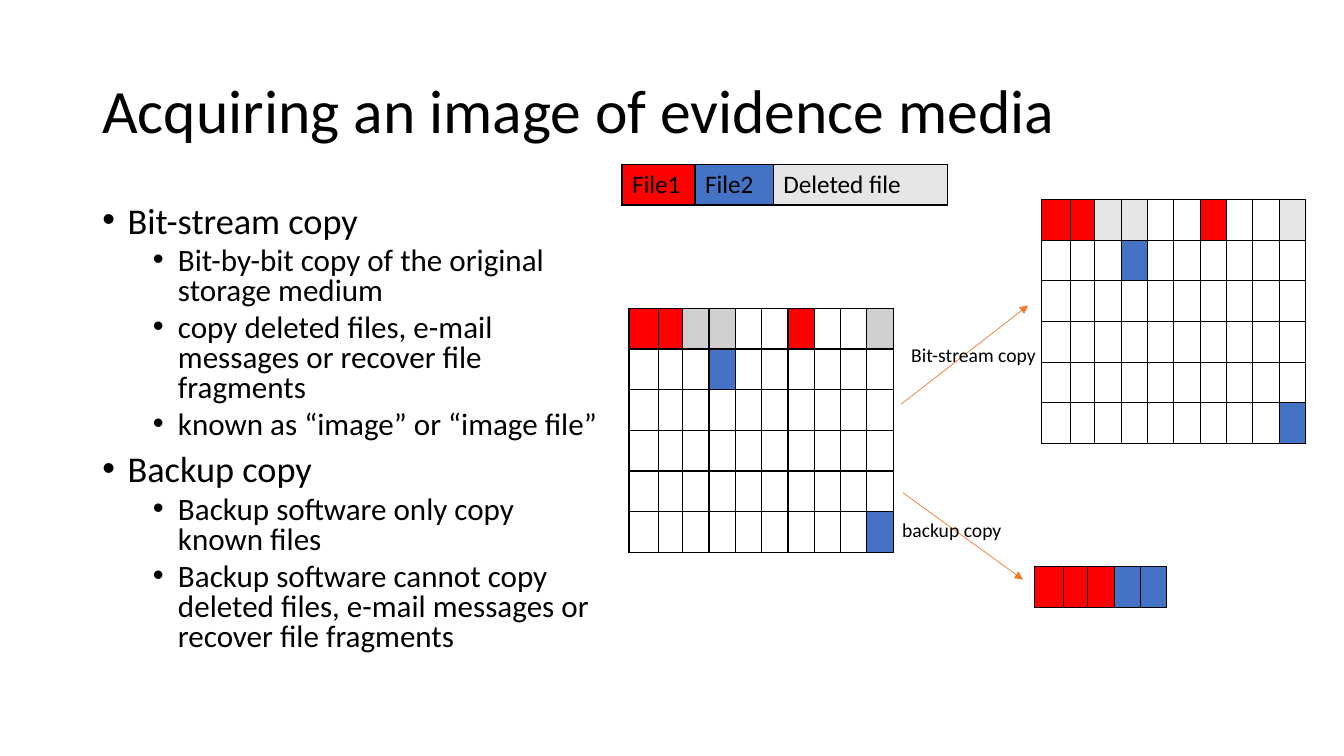
from dataclasses import dataclass

from lxml import etree
from pptx import Presentation
from pptx.dml.color import RGBColor
from pptx.enum.shapes import MSO_CONNECTOR
from pptx.enum.text import MSO_ANCHOR
from pptx.oxml.ns import qn
from pptx.util import Inches, Pt

STRAIGHT = MSO_CONNECTOR.STRAIGHT
MIDDLE, TOP = MSO_ANCHOR.MIDDLE, MSO_ANCHOR.TOP


@dataclass(frozen=True)
class Theme:
    font: str = "Calibri"
    ink: str = "000000"
    arrow: str = "ED7D31"
    title_size: float = 44
    cell_size: float = 18
    label_size: float = 14
    border_width: float = 1
    arrow_width: float = 0.5


THEME = Theme()

# Places and lengths are percentages of the slide's width and height.
TITLE = "Acquiring an image of evidence media"
TITLE_BOX = (6.88, 5.33, 86.25, 19.33)
BODY_BOX = (6.88, 26.62, 38.93, 63.47)
BULLETS = [
    (0, "Bit-stream copy"),
    (1, "Bit-by-bit copy of the original storage medium"),
    (1, "copy deleted files, e-mail messages or recover file fragments"),
    (1, "known as “image” or “image file”"),
    (0, "Backup copy"),
    (1, "Backup software only copy known files"),
    (1, "Backup software cannot copy deleted files, e-mail messages or recover file fragments"),
]
# level: (text size, space before, left indent in inches)
LEVELS = {0: (25.9, 10, 0.25), 1: (22.2, 5, 0.75)}
HANGING = 0.25

# 1 = first file, 2 = second file, d = deleted on the medium, c = deleted in a copy
FILLS = {"1": "FF0000", "2": "4472C4", "d": "D0CECE", "c": "E7E6E6"}
EMPTY_ROW = "." * 10
LOWER_ROWS = ["...2......"] + [EMPTY_ROW] * 3 + [".........2"]
BLOCK_COLUMNS = [2.2, 1.72] + [1.96] * 8
ROW_HEIGHT = 5.38
# (left, top), column widths, rows of fill keys, texts of the first row
TABLES = [
    ((46.8, 40.8), BLOCK_COLUMNS, ["11dd..1..d"] + LOWER_ROWS, []),
    ((77.47, 26.4), BLOCK_COLUMNS, ["11cc..1..c"] + LOWER_ROWS, []),
    ((76.95, 74.93), BLOCK_COLUMNS[:5], ["11122"], []),
    ((46.28, 21.73), [5.43, 5.83, 12.98], ["12c"], ["File1", "File2", "Deleted file"]),
]
ARROWS = [((67.05, 53.47), (76.5, 40.4)), ((67.2, 65.2), (76.12, 76.67))]
LABELS = [("Bit-stream copy", (67.05, 44.67)), ("backup copy", (66.38, 67.87))]
LABEL_SIZE = (12.75, 4.53)

presentation = Presentation()
presentation.slide_width = Inches(13.33)
presentation.slide_height = Inches(7.5)
slide = presentation.slides.add_slide(presentation.slide_layouts[6])


def across(share):
    return round(presentation.slide_width * share / 100)


def down(share):
    return round(presentation.slide_height * share / 100)


def add_run(paragraph, text, size):
    run = paragraph.add_run()
    run.text = text
    run.font.name = THEME.font
    run.font.size = Pt(size)
    run.font.color.rgb = RGBColor.from_string(THEME.ink)


def add_text_frame(box, anchor=TOP):
    left, top, width, height = box
    shape = slide.shapes.add_textbox(across(left), down(top), across(width), down(height))
    shape.text_frame.word_wrap = True
    shape.text_frame.vertical_anchor = anchor
    return shape.text_frame


def add_bullets(box, bullets):
    frame = add_text_frame(box)
    for index, (level, text) in enumerate(bullets):
        size, space, indent = LEVELS[level]
        paragraph = frame.add_paragraph() if index else frame.paragraphs[0]
        paragraph.level = level
        paragraph.line_spacing = 0.8
        paragraph.space_before = Pt(space)
        properties = paragraph._p.get_or_add_pPr()
        properties.set("marL", str(Inches(indent)))
        properties.set("indent", str(-Inches(HANGING)))
        etree.SubElement(properties, qn("a:buFont"), typeface="Arial")
        etree.SubElement(properties, qn("a:buChar"), char="•")
        add_run(paragraph, text, size)


def add_borders(cell):
    """Outline all four sides; borders must precede the fill in the cell's XML."""
    properties = cell._tc.get_or_add_tcPr()
    for position, side in enumerate(("lnL", "lnR", "lnT", "lnB")):
        line = etree.Element(qn(f"a:{side}"), w=str(Pt(THEME.border_width)))
        fill = etree.SubElement(line, qn("a:solidFill"))
        etree.SubElement(fill, qn("a:srgbClr"), val=THEME.ink)
        properties.insert(position, line)


def add_block_table(place, columns, rows, texts):
    left, top = place
    table = slide.shapes.add_table(
        len(rows), len(columns), across(left), down(top),
        across(sum(columns)), down(ROW_HEIGHT * len(rows))).table
    table.first_row = table.horz_banding = False
    for column, width in zip(table.columns, columns):
        column.width = across(width)
    for row_index, row in enumerate(rows):
        for column_index, key in enumerate(row):
            cell = table.cell(row_index, column_index)
            if key in FILLS:
                cell.fill.solid()
                cell.fill.fore_color.rgb = RGBColor.from_string(FILLS[key])
            else:
                cell.fill.background()
            add_borders(cell)
            paragraph = cell.text_frame.paragraphs[0]
            paragraph.font.size = Pt(THEME.cell_size)
            if row_index == 0 and texts:
                add_run(paragraph, texts[column_index], THEME.cell_size)


def add_arrow(start, end):
    connector = slide.shapes.add_connector(
        STRAIGHT, across(start[0]), down(start[1]), across(end[0]), down(end[1]))
    connector.line.color.rgb = RGBColor.from_string(THEME.arrow)
    connector.line.width = Pt(THEME.arrow_width)
    etree.SubElement(connector.line._get_or_add_ln(), qn("a:tailEnd"), type="triangle")
    etree.SubElement(connector._element.spPr, qn("a:effectLst"))


def main():
    heading = add_text_frame(TITLE_BOX, MIDDLE).paragraphs[0]
    heading.line_spacing = 0.9
    add_run(heading, TITLE, THEME.title_size)
    add_bullets(BODY_BOX, BULLETS)
    for table in TABLES:
        add_block_table(*table)
    for start, end in ARROWS:
        add_arrow(start, end)
    for text, place in LABELS:
        add_run(add_text_frame(place + LABEL_SIZE).paragraphs[0], text, THEME.label_size)
    presentation.save("out.pptx")


if __name__ == "__main__":
    main()
